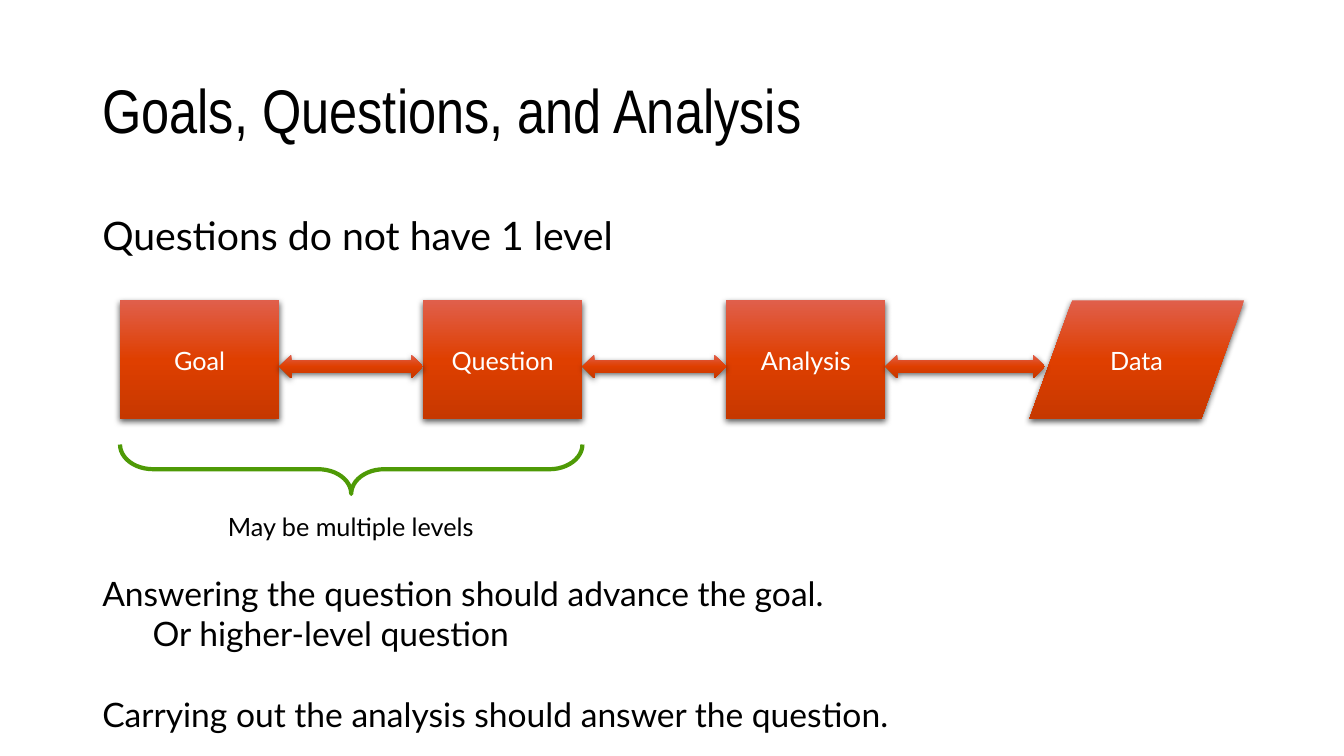
from dataclasses import dataclass

from lxml import etree
from pptx import Presentation
from pptx.dml.color import RGBColor
from pptx.enum.shapes import MSO_SHAPE
from pptx.enum.text import MSO_ANCHOR, PP_ALIGN
from pptx.oxml.ns import qn
from pptx.util import Pt

BOX = MSO_SHAPE.RECTANGLE
DATA = MSO_SHAPE.FLOWCHART_DATA
ARROW = MSO_SHAPE.LEFT_RIGHT_ARROW
BRACE = MSO_SHAPE.RIGHT_BRACE
CENTER, LEFT = PP_ALIGN.CENTER, PP_ALIGN.LEFT
MIDDLE, TOP = MSO_ANCHOR.MIDDLE, MSO_ANCHOR.TOP


@dataclass(frozen=True)
class Theme:
    title_font: str = "Arial Narrow"
    body_font: str = "Lato"
    title_size: int = 44
    lead_size: int = 28
    body_size: int = 24
    label_size: int = 18
    text: str = "000000"
    label: str = "FFFFFF"
    brace: str = "4E9A06"
    shadow: str = "000000"
    gradient: tuple = ((0, "E05F4B"), (50, "DF3F00"), (100, "C63800"))


THEME = Theme()

# Flow layout, in points
FLOW_LEFT, FLOW_TOP, FLOW_STEP = 85.7, 214.6, 216.5
BOX_WIDTH, BOX_HEIGHT, DATA_WIDTH = 113.8, 85, 153.4
ARROW_TOP, ARROW_HEIGHT = 253.4, 16.8
DATA_INSET = 11.2
TEXT_LEFT, TEXT_WIDTH = 66, 828


def add_run(paragraph, text, size, color=THEME.text, font=THEME.body_font):
    run = paragraph.add_run()
    run.text = text
    run.font.name = font
    run.font.size = Pt(size)
    run.font.color.rgb = RGBColor.from_string(color)


def add_text(slide, frame, size, lines, font=THEME.body_font, align=LEFT,
             anchor=TOP, line_spacing=1.0):
    """Each line is (text, left indent, space before)."""
    box = slide.shapes.add_textbox(*map(Pt, frame))
    text_frame = box.text_frame
    text_frame.word_wrap = True
    text_frame.vertical_anchor = anchor
    for index, (text, indent, space_before) in enumerate(lines):
        paragraph = text_frame.add_paragraph() if index else text_frame.paragraphs[0]
        paragraph.alignment = align
        paragraph.line_spacing = line_spacing
        if indent:
            paragraph.level = 1
            properties = paragraph._p.get_or_add_pPr()
            properties.set("marL", str(Pt(indent)))
            properties.set("indent", "0")
        if space_before:
            paragraph.space_before = Pt(space_before)
        add_run(paragraph, text, size, font=font)


def add_color(parent, color):
    return etree.SubElement(parent, qn("a:srgbClr"), val=color)


def add_glossy_shape(slide, kind, frame, label=None):
    shape = slide.shapes.add_shape(kind, *map(Pt, frame))
    shape.line.fill.background()

    # Three-stop gradient, running downwards
    shape.fill.gradient()
    shape.fill.gradient_angle = 270
    stops = shape._element.spPr.find(f".//{qn('a:gsLst')}")
    for stop in list(stops):
        stops.remove(stop)
    for position, color in THEME.gradient:
        add_color(etree.SubElement(stops, qn("a:gs"), pos=str(position * 1000)), color)

    # Soft shadow below
    shape.shadow.inherit = False
    effects = shape._element.spPr.find(qn("a:effectLst"))
    shadow = etree.SubElement(effects, qn("a:outerShdw"), blurRad=str(Pt(4.5)),
                              dist=str(Pt(1.5)), dir="5400000", rotWithShape="0")
    etree.SubElement(add_color(shadow, THEME.shadow), qn("a:alpha"), val="63000")

    if label:
        shape.text_frame.vertical_anchor = MIDDLE
        paragraph = shape.text_frame.paragraphs[0]
        paragraph.alignment = CENTER
        add_run(paragraph, label, THEME.label_size, THEME.label)


def add_flow(slide, labels):
    last = len(labels) - 1
    lefts = [FLOW_LEFT + index * FLOW_STEP for index in range(len(labels))]
    for index, (left, label) in enumerate(zip(lefts, labels)):
        kind, width = (DATA, DATA_WIDTH) if index == last else (BOX, BOX_WIDTH)
        add_glossy_shape(slide, kind, (left, FLOW_TOP, width, BOX_HEIGHT), label)
    for index, left in enumerate(lefts[:-1]):
        length = FLOW_STEP - BOX_WIDTH + (DATA_INSET if index == last - 1 else 0)
        add_glossy_shape(slide, ARROW,
                         (left + BOX_WIDTH, ARROW_TOP, length, ARROW_HEIGHT))


def add_brace_below(slide, left, top, span, depth):
    # The brace is turned by 90 degrees about its centre
    frame = (left + (span - depth) / 2, top + (depth - span) / 2, depth, span)
    brace = slide.shapes.add_shape(BRACE, *map(Pt, frame))
    brace.rotation = 90
    brace.adjustments[0] = 0.669
    brace.adjustments[1] = 0.5
    brace.fill.background()
    brace.line.color.rgb = RGBColor.from_string(THEME.brace)
    brace.line.width = Pt(3)
    brace.shadow.inherit = False


def main():
    presentation = Presentation()
    presentation.slide_width = Pt(960)
    presentation.slide_height = Pt(540)
    slide = presentation.slides.add_slide(presentation.slide_layouts[6])

    # Heading and lead line
    add_text(slide, (TEXT_LEFT, 28.8, TEXT_WIDTH, 104.4), THEME.title_size,
             [("Goals, Questions, and Analysis", 0, 0)],
             font=THEME.title_font, anchor=MIDDLE, line_spacing=0.9)
    add_text(slide, (TEXT_LEFT, 144, TEXT_WIDTH, 59.8), THEME.lead_size,
             [("Questions do not have 1 level", 0, 0)], line_spacing=1.1)

    # Flow from goal to data
    add_flow(slide, ["Goal", "Question", "Analysis", "Data"])

    # Brace under goal and question
    add_brace_below(slide, FLOW_LEFT, 317.5, FLOW_STEP + BOX_WIDTH, 35.3)
    add_text(slide, (121, 361.4, 259.2, 28.8), THEME.label_size,
             [("May be multiple levels", 0, 0)], align=CENTER)

    # Closing remarks
    add_text(slide, (TEXT_LEFT, 405.4, TEXT_WIDTH, 123.8), THEME.body_size,
             [("Answering the question should advance the goal.", 0, 0),
              ("Or higher-level question", 36, 0),
              ("Carrying out the analysis should answer the question.", 0, 28.8)])

    presentation.save("out.pptx")


if __name__ == "__main__":
    main()
